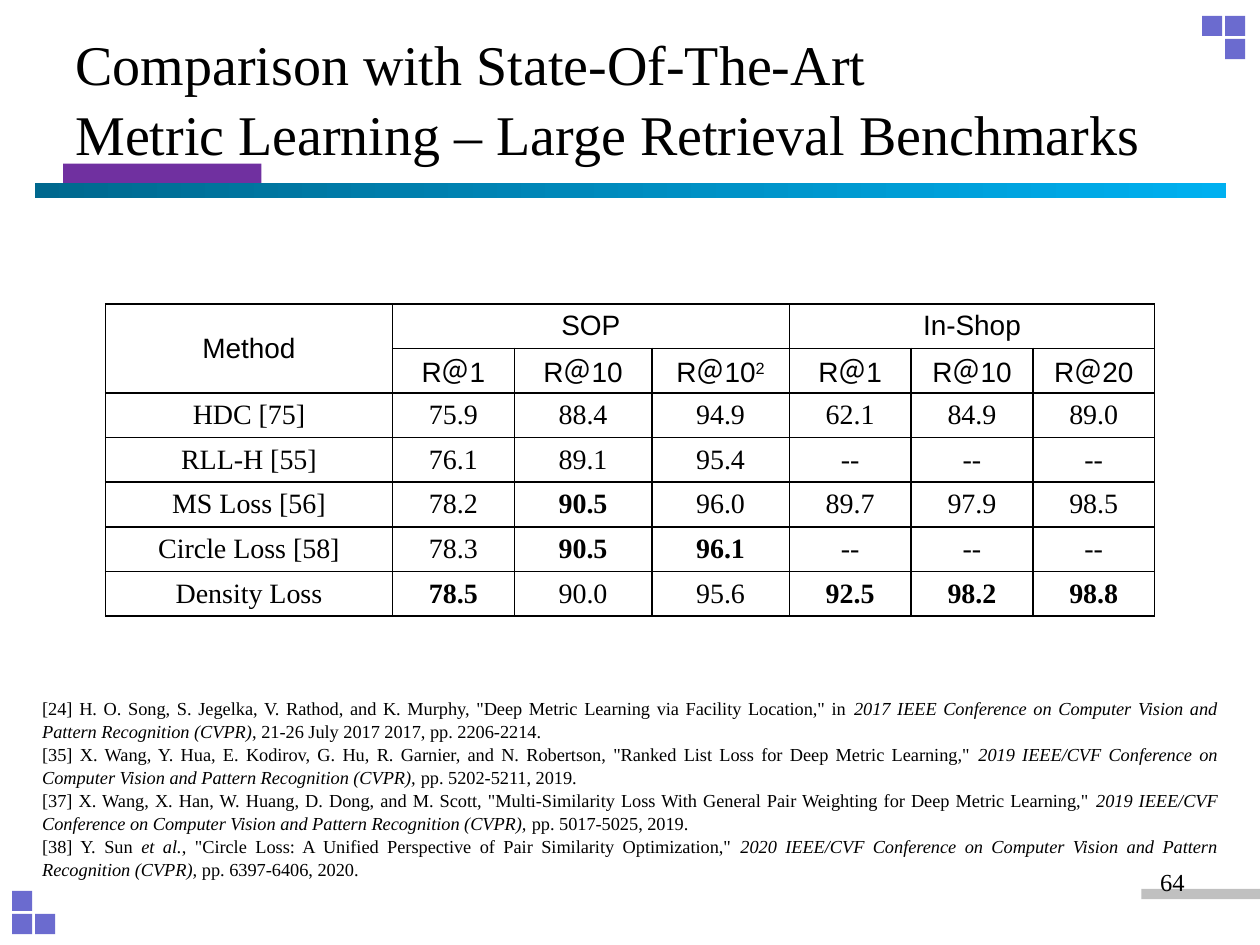
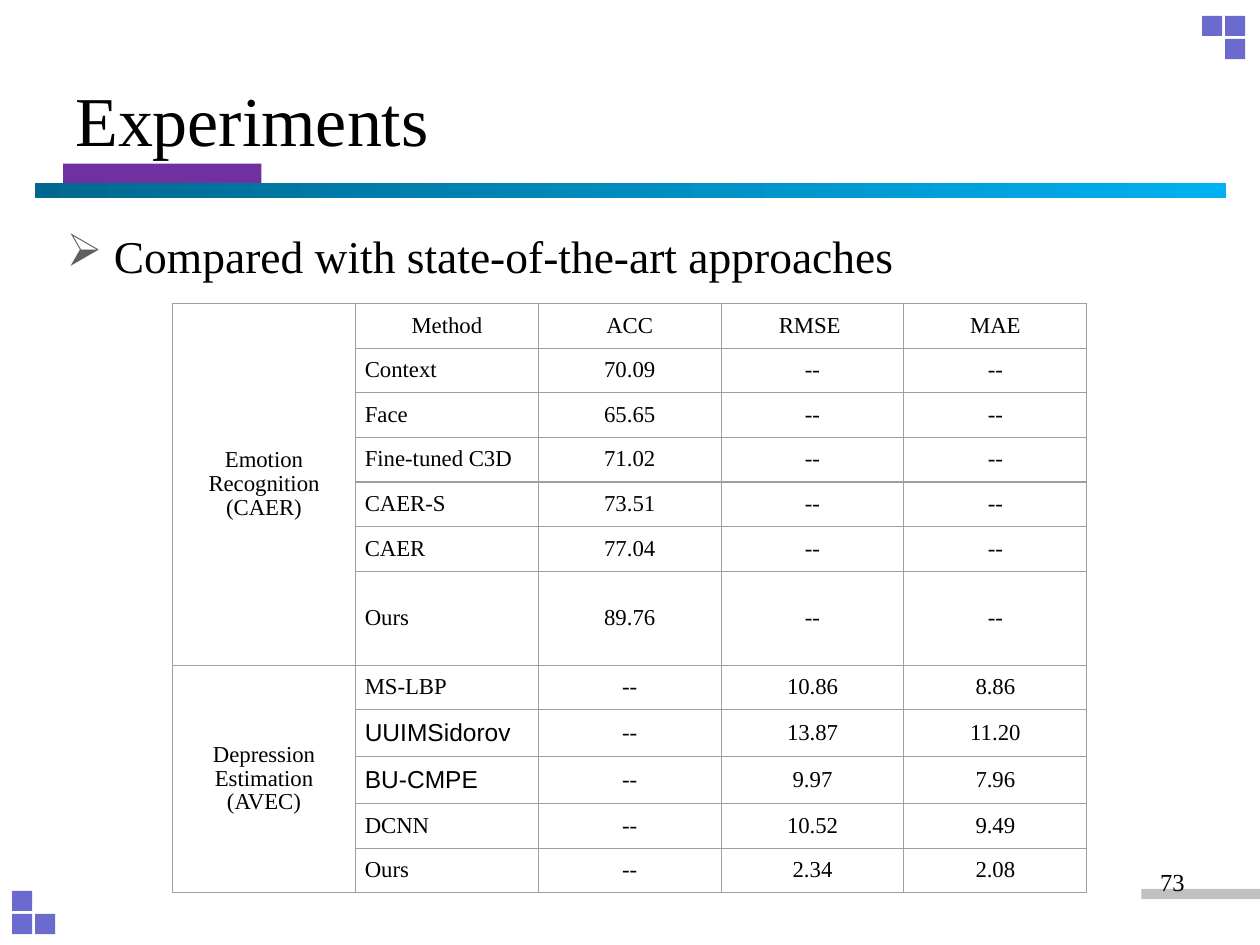
from lxml.etree import SubElement
from pptx import Presentation
from pptx.dml.color import RGBColor
from pptx.enum.shapes import MSO_SHAPE
from pptx.enum.text import MSO_ANCHOR, PP_ALIGN
from pptx.oxml.ns import qn
from pptx.util import Pt

BLACK = RGBColor(0x00, 0x00, 0x00)
BULLET_GRAY = RGBColor(0x5F, 0x5F, 0x5F)
FOOTER_GRAY = RGBColor(0xC0, 0xC0, 0xC0)
GRID_GRAY = RGBColor(0x9E, 0x9E, 0x9E)
VIOLET = RGBColor(0x6B, 0x6B, 0xCF)
PURPLE = RGBColor(0x70, 0x30, 0xA0)
DEEP_BLUE = RGBColor(0x00, 0x68, 0x8E)
SKY_BLUE = RGBColor(0x00, 0xB0, 0xF0)
SERIF = "Times New Roman"
SANS = "Arial"
SQUARE, SQUARE_PITCH = 11.5, 13.2

BENCHMARKS = [
    ["Method", "SOP", "", "", "In-Shop", "", ""],
    ["", "R＠1", "R＠10", "R＠10", "R＠1", "R＠10", "R＠20"],
    ["HDC [75]", "75.9", "88.4", "94.9", "62.1", "84.9", "89.0"],
    ["RLL-H [55]", "76.1", "89.1", "95.4", "--", "--", "--"],
    ["MS Loss [56]", "78.2", "90.5", "96.0", "89.7", "97.9", "98.5"],
    ["Circle Loss [58]", "78.3", "90.5", "96.1", "--", "--", "--"],
    ["Density Loss", "78.5", "90.0", "95.6", "92.5", "98.2", "98.8"],
]
BEST_SCORES = {(4, 2), (5, 2), (5, 3), (6, 1), (6, 4), (6, 5), (6, 6)}

EXPERIMENTS = [
    ["Emotion\nRecognition\n(CAER)", "Method", "ACC", "RMSE ", "MAE"],
    ["", "Context", "70.09", "--", "--"],
    ["", "Face", "65.65", "--", "--"],
    ["", "Fine-tuned C3D", "71.02", "--", "--"],
    ["", "CAER-S", "73.51", "--", "--"],
    ["", "CAER", "77.04", "--", "--"],
    ["", "Ours", "89.76", "--", "--"],
    ["Depression\nEstimation\n(AVEC)", "MS-LBP", "--", "10.86", "8.86"],
    ["", "UUIMSidorov", "--", "13.87", "11.20"],
    ["", "BU-CMPE", "--", "9.97", "7.96"],
    ["", "DCNN", "--", "10.52", "9.49"],
    ["", "Ours", "--", "2.34", "2.08"],
]
SANS_METHODS = {"UUIMSidorov", "BU-CMPE"}

CVPR = "Conference on Computer Vision and Pattern Recognition (CVPR)"
REFERENCES = [
    [('[24] H. O. Song, S. Jegelka, V. Rathod, and K. Murphy, "Deep Metric '
      'Learning via Facility Location," in ', False),
     (f"2017 IEEE {CVPR}", True), (", 21-26 July 2017 2017, pp. 2206-2214.", False)],
    [('[35] X. Wang, Y. Hua, E. Kodirov, G. Hu, R. Garnier, and N. Robertson, '
      '"Ranked List Loss for Deep Metric Learning," ', False),
     (f"2019 IEEE/CVF {CVPR}, ", True), ("pp. 5202-5211, 2019.", False)],
    [('[37] X. Wang, X. Han, W. Huang, D. Dong, and M. Scott, "Multi-Similarity '
      'Loss With General Pair Weighting for Deep Metric Learning," ', False),
     (f"2019 IEEE/CVF {CVPR}, ", True), ("pp. 5017-5025, 2019.", False)],
    [("[38] Y. Sun", False), (" et al.", True),
     (', "Circle Loss: A Unified Perspective of Pair Similarity Optimization," ', False),
     (f"2020 IEEE/CVF {CVPR}, ", True), ("pp. 6397-6406, 2020.", False)],
]


class SlideBuilder:
    """Hold the deck style and the current slide, and add elements to it."""

    def __init__(self, deck):
        self.deck = deck
        self.page = None

    def start(self, title_lines, title_top, title_size, number):
        self.page = self.deck.slides.add_slide(self.deck.slide_layouts[6])
        self.bar(652.3, 508, 67.7, 5.8, FOOTER_GRAY)
        self.squares(686.9, 9.1, [(0, 0), (1, 0), (1, 1)])
        self.squares(6.9, 509.1, [(0, 0), (0, 1), (1, 1)])
        self.bar(36, 93.5, 113.4, 11.5, PURPLE)
        self.bar(20, 104.6, 680.5, 8.5, DEEP_BLUE, SKY_BLUE)
        frame = self.text_frame(36, title_top, 648, 90, MSO_ANCHOR.MIDDLE)
        para = frame.paragraphs[0]
        para.line_spacing = 1.05
        for index, line in enumerate(title_lines):
            if index:
                para.add_line_break()
            self.span(para, line, title_size)
        number_para = self.text_frame(516, 491.8, 168, 37.4).paragraphs[0]
        number_para.alignment = PP_ALIGN.RIGHT
        self.span(number_para, number, 14)

    def bar(self, left, top, width, height, color, end_color=None):
        shape = self.page.shapes.add_shape(
            MSO_SHAPE.RECTANGLE, Pt(left), Pt(top), Pt(width), Pt(height))
        shape.shadow.inherit = False
        shape.line.fill.background()
        if end_color is None:
            shape.fill.solid()
            shape.fill.fore_color.rgb = color
        else:
            shape.fill.gradient()
            shape.fill.gradient_angle = 0
            for stop, stop_color in zip(shape.fill.gradient_stops, (color, end_color)):
                stop.color.rgb = stop_color

    def squares(self, left, top, places):
        for column, row in places:
            self.bar(left + column * SQUARE_PITCH, top + row * SQUARE_PITCH,
                     SQUARE, SQUARE, VIOLET)

    def text_frame(self, left, top, width, height, anchor=MSO_ANCHOR.TOP):
        box = self.page.shapes.add_textbox(Pt(left), Pt(top), Pt(width), Pt(height))
        box.text_frame.word_wrap = True
        box.text_frame.vertical_anchor = anchor
        return box.text_frame

    def span(self, para, text, size, font=SERIF, bold=False, italic=False):
        span = para.add_run()
        span.text = text
        span.font.size = Pt(size)
        span.font.name = font
        span.font.bold = bold
        span.font.italic = italic
        span.font.color.rgb = BLACK
        return span

    def bullet(self, text):
        para = self.text_frame(31, 126.7, 648, 387.4).paragraphs[0]
        properties = para._p.get_or_add_pPr()
        properties.set("marL", str(Pt(27)))
        properties.set("indent", str(-Pt(27)))
        color = SubElement(properties, qn("a:buClr"))
        SubElement(color, qn("a:srgbClr"), val=str(BULLET_GRAY))
        SubElement(properties, qn("a:buChar"), char="➢")
        self.span(para, text, 26)

    def references(self, entries):
        frame = self.text_frame(17, 394.6, 686, 108.7)
        for index, entry in enumerate(entries):
            para = frame.add_paragraph() if index else frame.paragraphs[0]
            para.alignment = PP_ALIGN.JUSTIFY
            para.line_spacing = 1.04
            for text, italic in entry:
                self.span(para, text, 10.5, italic=italic)

    def table(self, left, top, widths, heights, merges, border, line_width):
        frame = self.page.shapes.add_table(
            len(heights), len(widths), Pt(left), Pt(top), Pt(sum(widths)), Pt(sum(heights)))
        table = frame.table
        table.first_row = table.horz_banding = False
        for column, width in zip(table.columns, widths):
            column.width = Pt(width)
        for row, height in zip(table.rows, heights):
            row.height = Pt(height)
        for first, last in merges:
            table.cell(*first).merge(table.cell(*last))
        for cell in table.iter_cells():
            self.cell_style(cell, border, line_width)
        return table

    def cell_style(self, cell, color, line_width):
        cell.margin_left = cell.margin_right = Pt(5.4)
        cell.margin_top = cell.margin_bottom = Pt(0)
        cell.vertical_anchor = MSO_ANCHOR.MIDDLE
        properties = cell._tc.get_or_add_tcPr()
        for side in ("lnL", "lnR", "lnT", "lnB"):
            line = SubElement(properties, qn(f"a:{side}"), w=str(Pt(line_width)))
            fill = SubElement(line, qn("a:solidFill"))
            SubElement(fill, qn("a:srgbClr"), val=str(color))
        cell.fill.background()

    def cell_text(self, cell, text, size, font=SERIF, bold=False,
                  alignment=PP_ALIGN.CENTER, spacing=1.0):
        for index, line in enumerate(text.split("\n")):
            frame = cell.text_frame
            para = frame.add_paragraph() if index else frame.paragraphs[0]
            para.alignment = alignment
            para.line_spacing = spacing
            self.span(para, line, size, font, bold)


def add_benchmarks(builder):
    builder.start(["Comparison with State-Of-The-Art",
                   "Metric Learning – Large Retrieval Benchmarks"], 10, 32, "64")
    table = builder.table(
        60.3, 173.6, [164, 69.6, 78.6, 78.6, 69.6, 69.6, 69.6], [25.5] * 7,
        [((0, 0), (1, 0)), ((0, 1), (0, 3)), ((0, 4), (0, 6))], BLACK, 1)
    for row, texts in enumerate(BENCHMARKS):
        for column, text in enumerate(texts):
            if text:
                builder.cell_text(table.cell(row, column), text, 16,
                                  SANS if row < 2 else SERIF, (row, column) in BEST_SCORES)
    exponent = builder.span(table.cell(1, 3).text_frame.paragraphs[0], "2", 16, SANS)
    exponent._r.get_or_add_rPr().set("baseline", "30000")
    builder.references(REFERENCES)


def add_experiments(builder):
    builder.start(["Experiments"], 21.6, 40, "73")
    builder.bullet("Compared with state-of-the-art approaches")
    heights = [25.5] * 6 + [53.8, 25.5, 26.8, 26.8, 25.5, 25.5]
    table = builder.table(98.6, 173.5, [104.5] * 5, heights,
                          [((0, 0), (6, 0)), ((7, 0), (11, 0))], GRID_GRAY, 0.75)
    for row, texts in enumerate(EXPERIMENTS):
        for column, text in enumerate(texts):
            if text:
                is_method = row > 0 and column == 1
                size, font = (14, SANS) if text in SANS_METHODS else (13, SERIF)
                builder.cell_text(
                    table.cell(row, column), text, size, font, spacing=0.95,
                    alignment=PP_ALIGN.LEFT if is_method else PP_ALIGN.CENTER)


def main():
    deck = Presentation()
    deck.slide_width, deck.slide_height = Pt(720), Pt(540)
    builder = SlideBuilder(deck)
    add_benchmarks(builder)
    add_experiments(builder)
    deck.save("out.pptx")


if __name__ == "__main__":
    main()
